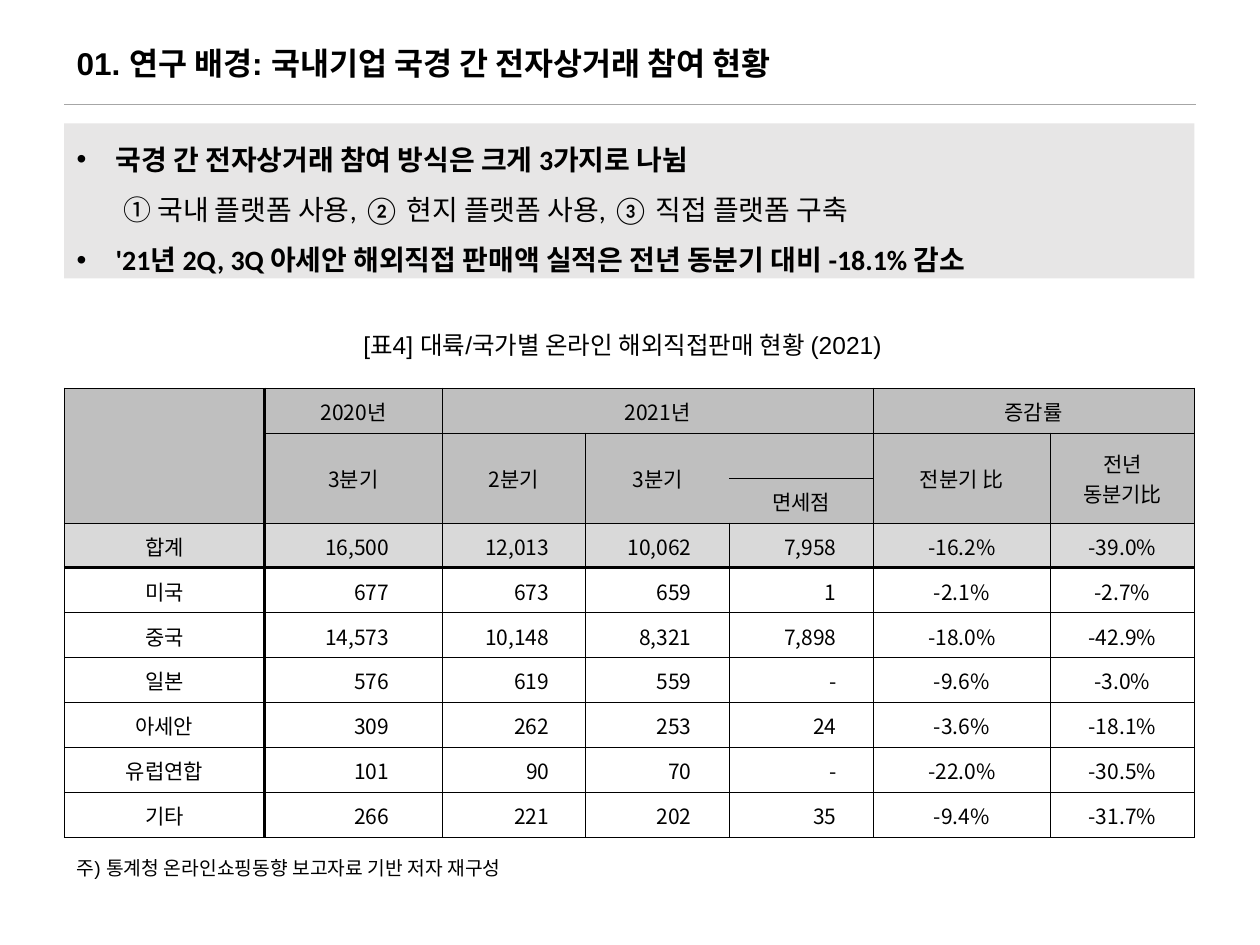
"""Build the slide on domestic firms' participation in cross-border e-commerce."""
from lxml import etree
from pptx import Presentation
from pptx.dml.color import RGBColor
from pptx.enum.shapes import MSO_CONNECTOR, MSO_SHAPE
from pptx.enum.text import MSO_ANCHOR, PP_ALIGN
from pptx.oxml.ns import qn
from pptx.util import Inches, Pt

STRAIGHT = MSO_CONNECTOR.STRAIGHT
RECTANGLE = MSO_SHAPE.RECTANGLE
MIDDLE = MSO_ANCHOR.MIDDLE
LEFT, CENTER, RIGHT = PP_ALIGN.LEFT, PP_ALIGN.CENTER, PP_ALIGN.RIGHT

BLACK = RGBColor(0x00, 0x00, 0x00)
RULE_GRAY = RGBColor(0xA6, 0xA6, 0xA6)
PANEL_GRAY = RGBColor(0xE7, 0xE6, 0xE6)
HEADER_GRAY = RGBColor(0xBF, 0xBF, 0xBF)
TOTAL_GRAY = RGBColor(0xD9, 0xD9, 0xD9)
KOREAN_FONT = "Noto Sans CJK KR"


def add_run(paragraph, text, size, font, bold=False):
    run = paragraph.add_run()
    run.text = text
    run.font.size = Pt(size)
    run.font.name = font
    run.font.bold = bold
    run.font.color.rgb = BLACK
    east_asian = etree.Element(qn("a:ea"), typeface=KOREAN_FONT)
    run.font._element.find(qn("a:latin")).addnext(east_asian)


def add_border(cell, side, width):
    properties = cell._tc.get_or_add_tcPr()
    line = etree.SubElement(properties, qn(f"a:ln{side}"), w=str(Pt(width)))
    if width:
        fill = etree.SubElement(line, qn("a:solidFill"))
        etree.SubElement(fill, qn("a:srgbClr"), val=str(BLACK))
    else:
        etree.SubElement(line, qn("a:noFill"))


presentation = Presentation()
presentation.slide_width = Inches(10)
presentation.slide_height = Inches(7.5)
slide = presentation.slides.add_slide(presentation.slide_layouts[6])

title_rule = slide.shapes.add_connector(STRAIGHT, Inches(0.51), Inches(0.83), Inches(9.49), Inches(0.83))
title_rule.line.color.rgb = RULE_GRAY
title_rule.line.width = Pt(0.5)
etree.SubElement(title_rule._element.spPr, qn("a:effectLst"))

text_boxes = [
    ("01. 연구 배경: 국내기업 국경 간 전자상거래 참여 현황", 0.51, 0.3, 6.97, 0.4, 18, True, LEFT),
    ("[표4] 대륙/국가별 온라인 해외직접판매 현황 (2021)", 2.03, 2.57, 5.82, 0.34, 14, False, CENTER),
    ("주) 통계청 온라인쇼핑동향 보고자료 기반 저자 재구성", 0.51, 6.75, 4.49, 0.29, 11, False, LEFT),
]
for text, left, top, width, height, size, bold, alignment in text_boxes:
    text_box = slide.shapes.add_textbox(Inches(left), Inches(top), Inches(width), Inches(height))
    text_box.text_frame.word_wrap = True
    paragraph = text_box.text_frame.paragraphs[0]
    paragraph.alignment = alignment
    add_run(paragraph, text, size, "Arial", bold)

panel = slide.shapes.add_shape(RECTANGLE, Inches(0.51), Inches(0.98), Inches(8.97), Inches(1.23))
panel.shadow.inherit = False
panel.fill.solid()
panel.fill.fore_color.rgb = PANEL_GRAY
panel.line.fill.background()
panel.text_frame.word_wrap = True
panel.text_frame.vertical_anchor = MIDDLE
panel_lines = [
    ("국경 간 전자상거래 참여 방식은 크게 3가지로 나뉨", True),
    ("① 국내 플랫폼 사용, ② 현지 플랫폼 사용, ③ 직접 플랫폼 구축", False),
    ("'21년 2Q, 3Q 아세안 해외직접 판매액 실적은 전년 동분기 대비 -18.1% 감소", True),
]
for index, (text, bulleted) in enumerate(panel_lines):
    paragraph = panel.text_frame.add_paragraph() if index else panel.text_frame.paragraphs[0]
    paragraph.alignment = LEFT
    paragraph.line_spacing = 1.5
    properties = paragraph._p.get_or_add_pPr()
    if bulleted:
        properties.set("marL", str(Inches(0.31)))
        properties.set("indent", str(Inches(-0.31)))
        etree.SubElement(properties, qn("a:buFont"), typeface="Arial")
        etree.SubElement(properties, qn("a:buChar"), char="•")
    else:
        properties.set("marL", str(Inches(0.37)))
    add_run(paragraph, text, 16, "Calibri", bulleted)

rows = [
    ["", "2020년", "2021년", "", "", "증감률", ""],
    ["", "3분기", "2분기", "3분기", "", "전분기 比", "전년\n동분기比"],
    ["", "", "", "", "면세점", "", ""],
    ["합계", "16,500", "12,013", "10,062", "7,958", "-16.2%", "-39.0%"],
    ["미국", "677", "673", "659", "1", "-2.1%", "-2.7%"],
    ["중국", "14,573", "10,148", "8,321", "7,898", "-18.0%", "-42.9%"],
    ["일본", "576", "619", "559", "-", "-9.6%", "-3.0%"],
    ["아세안", "309", "262", "253", "24", "-3.6%", "-18.1%"],
    ["유럽연합", "101", "90", "70", "-", "-22.0%", "-30.5%"],
    ["기타", "266", "221", "202", "35", "-9.4%", "-31.7%"],
]
column_widths = [1.59, 1.41, 1.14, 1.14, 1.14, 1.41, 1.14]
number_margins = {1: 0.42, 2: 0.29, 3: 0.3, 4: 0.29}
HEADER_ROWS, TOTAL_ROW = 3, 3

table_frame = slide.shapes.add_table(
    len(rows), len(column_widths), Inches(0.51), Inches(3.08), Inches(8.97), Inches(3.57))
table = table_frame.table
table.first_row = False
table.horz_banding = False
for column, width in zip(table.columns, column_widths):
    column.width = Inches(width)
for row in table.rows:
    row.height = Inches(3.57 / len(rows))

for row_index, row_texts in enumerate(rows):
    is_header = row_index < HEADER_ROWS
    for column_index, text in enumerate(row_texts):
        cell = table.cell(row_index, column_index)
        cell.vertical_anchor = MIDDLE
        cell.margin_left = cell.margin_right = cell.margin_top = Inches(0.01)
        cell.margin_bottom = 0
        open_side = {3: "R", 4: "L"}.get(column_index) if row_index in (1, 2) else None
        heavy_sides = {
            "L": column_index == 1,
            "R": column_index == 0,
            "T": row_index == TOTAL_ROW + 1,
            "B": row_index == TOTAL_ROW,
        }
        for side, heavy in heavy_sides.items():
            add_border(cell, side, 0 if side == open_side else 2 if heavy else 0.5)
        if row_index <= TOTAL_ROW:
            cell.fill.solid()
            cell.fill.fore_color.rgb = HEADER_GRAY if is_header else TOTAL_GRAY
        else:
            cell.fill.background()
        paragraph = cell.text_frame.paragraphs[0]
        paragraph.alignment = CENTER
        if not is_header and column_index in number_margins:
            paragraph.alignment = RIGHT
            cell.margin_right = Inches(number_margins[column_index])
        if text:
            for line_index, line_text in enumerate(text.split("\n")):
                if line_index:
                    paragraph.add_line_break()
                add_run(paragraph, line_text, 12, KOREAN_FONT)

merges = [((0, 0), (2, 0)), ((0, 2), (0, 4)), ((0, 5), (0, 6))]
merges += [((1, column_index), (2, column_index)) for column_index in (1, 2, 3, 5, 6)]
for first, last in merges:
    table.cell(*first).merge(table.cell(*last))

presentation.save("out.pptx")
